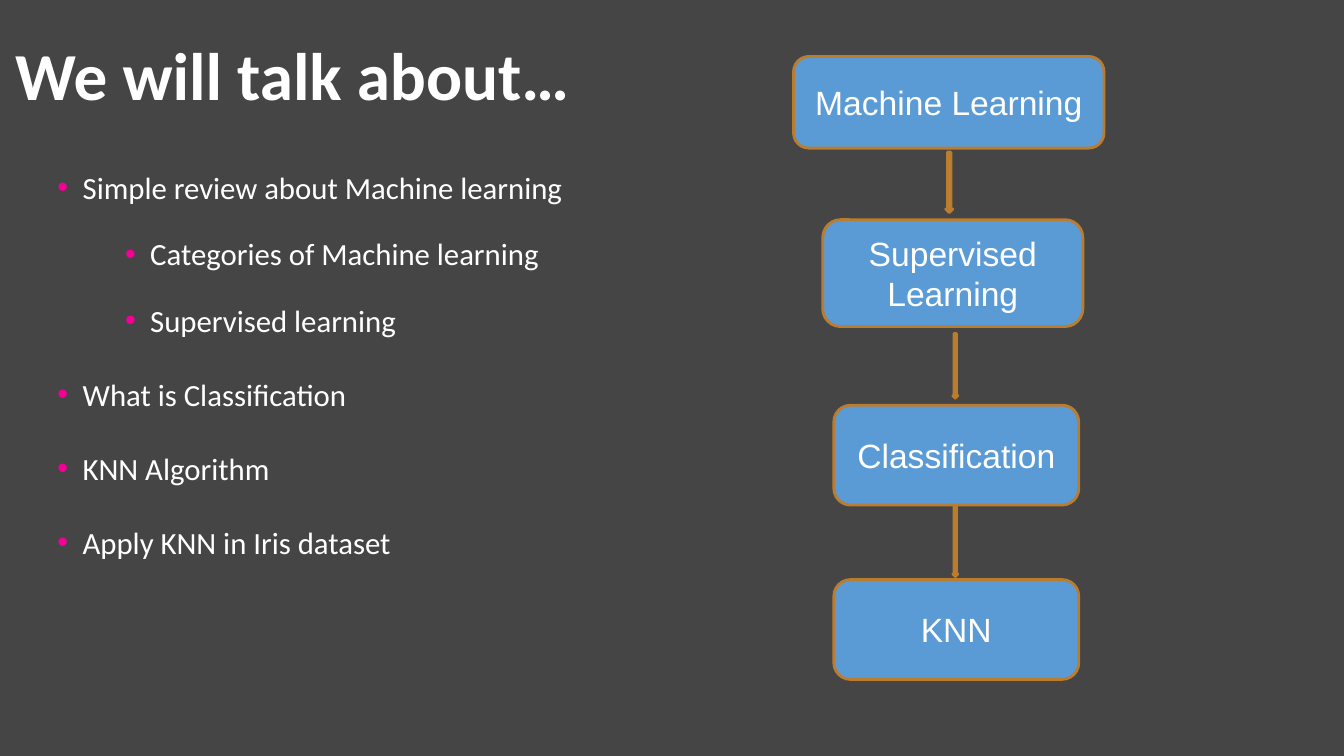
from lxml import etree
from pptx import Presentation
from pptx.dml.color import RGBColor
from pptx.enum.shapes import MSO_SHAPE
from pptx.enum.text import MSO_ANCHOR, MSO_AUTO_SIZE, PP_ALIGN
from pptx.oxml.ns import qn
from pptx.util import Inches, Pt

BOX, ARROW = MSO_SHAPE.ROUNDED_RECTANGLE, MSO_SHAPE.DOWN_ARROW
LEFT, CENTER = PP_ALIGN.LEFT, PP_ALIGN.CENTER
TOP, MIDDLE = MSO_ANCHOR.TOP, MSO_ANCHOR.MIDDLE
WHITE, PINK, BLUE, BROWN, GREY = "FFFFFF", "F40096", "5B9BD5", "BA7C2E", "454545"


def rgb(value):
    return RGBColor.from_string(value)


def add_run(p, text, font, size, bold=False):
    r = p.add_run()
    r.text = text
    r.font.name, r.font.size, r.font.bold = font, Pt(size), bold
    r.font.color.rgb = rgb(WHITE)


prs = Presentation()
prs.slide_width, prs.slide_height = Inches(13.33), Inches(7.5)
s = prs.slides.add_slide(prs.slide_layouts[1])
s.background.fill.solid()
s.background.fill.fore_color.rgb = rgb(GREY)
title, body = s.placeholders

# Title and list share the left column
for sp, top, width, height, anchor in ((title, 0.02, 5.88, 1.53, MIDDLE),
                                       (body, 1.55, 5.83, 4.48, TOP)):
    sp.left, sp.top = Inches(0.05), Inches(top)
    sp.width, sp.height = Inches(width), Inches(height)
    sp.text_frame.auto_size = MSO_AUTO_SIZE.NONE
    sp.text_frame.word_wrap = True
    sp.text_frame.vertical_anchor = anchor

p = title.text_frame.paragraphs[0]
p.alignment, p.line_spacing = LEFT, 0.9
add_run(p, "We will talk about…", "Calibri", 48, True)

# Bulleted list: (level, text)
topics = [
    (0, "Simple review about Machine learning"),
    (1, "Categories of Machine learning"),
    (1, "Supervised learning"),
    (0, "What is Classification"),
    (0, "KNN Algorithm"),
    (0, "Apply KNN in Iris dataset"),
]
tf = body.text_frame
tf.margin_top = Inches(0.12)
for i, (level, text) in enumerate(topics):
    p = tf.add_paragraph() if i else tf.paragraphs[0]
    p.level, p.alignment = level, LEFT
    p.line_spacing = 2.0 if i and level == 0 else 1.0
    p.space_before, p.space_after = Pt(21.3 * level), Pt(0)
    pPr = p._p.get_or_add_pPr()
    pPr.set("marL", str(Inches(0.67 * (level + 1))))
    pPr.set("indent", str(Inches(-0.25)))
    color = etree.SubElement(pPr, qn("a:buClr"))
    etree.SubElement(color, qn("a:srgbClr"), val=PINK)
    etree.SubElement(pPr, qn("a:buFont"), typeface="Arial")
    etree.SubElement(pPr, qn("a:buChar"), char="•")
    add_run(p, text, "Calibri", 22)

# Flow from the general topic down to KNN: kind, left, top, width, height, text
flow = [
    (BOX, 7.87, 0.56, 3.08, 0.91, "Machine Learning"),
    (ARROW, 9.38, 1.51, 0.07, 0.6, ""),
    (BOX, 8.16, 2.18, 2.58, 1.06, "Supervised Learning"),
    (ARROW, 9.45, 3.31, 0.05, 0.64, ""),
    (BOX, 8.27, 4.02, 2.43, 0.99, "Classification"),
    (ARROW, 9.45, 5.01, 0.05, 0.71, ""),
    (BOX, 8.27, 5.75, 2.43, 0.99, "KNN"),
]
for kind, left, top, width, height, text in flow:
    sp = s.shapes.add_shape(kind, Inches(left), Inches(top), Inches(width), Inches(height))
    sp.shadow.inherit = False
    sp.fill.solid()
    sp.fill.fore_color.rgb = rgb(BLUE)
    sp.line.color.rgb = rgb(BROWN)
    sp.line.width = Pt(2)
    if text:
        tf = sp.text_frame
        tf.word_wrap, tf.vertical_anchor = True, MIDDLE
        tf.margin_left = tf.margin_right = Inches(0.13)
        tf.margin_top = tf.margin_bottom = Inches(0.07)
        p = tf.paragraphs[0]
        p.alignment, p.space_after = CENTER, Pt(6)
        add_run(p, text, "Arial", 24)

prs.save("out.pptx")
